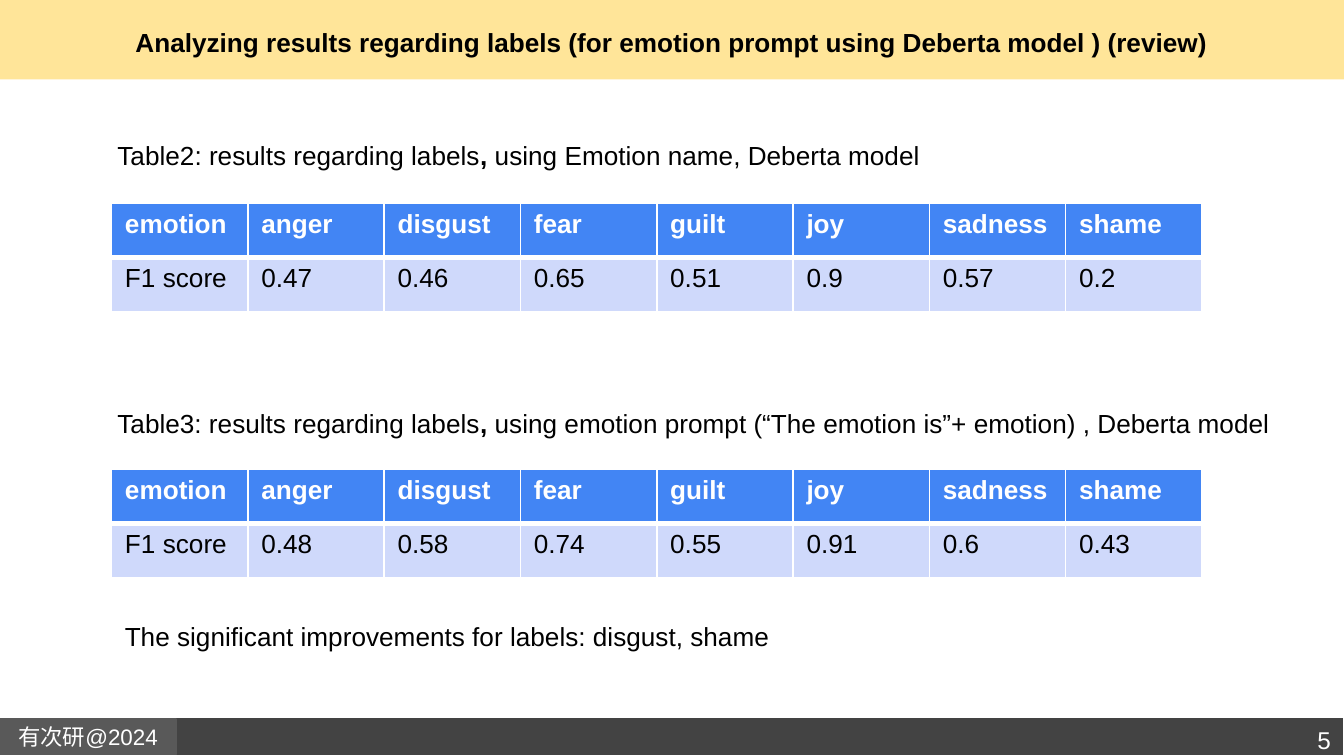
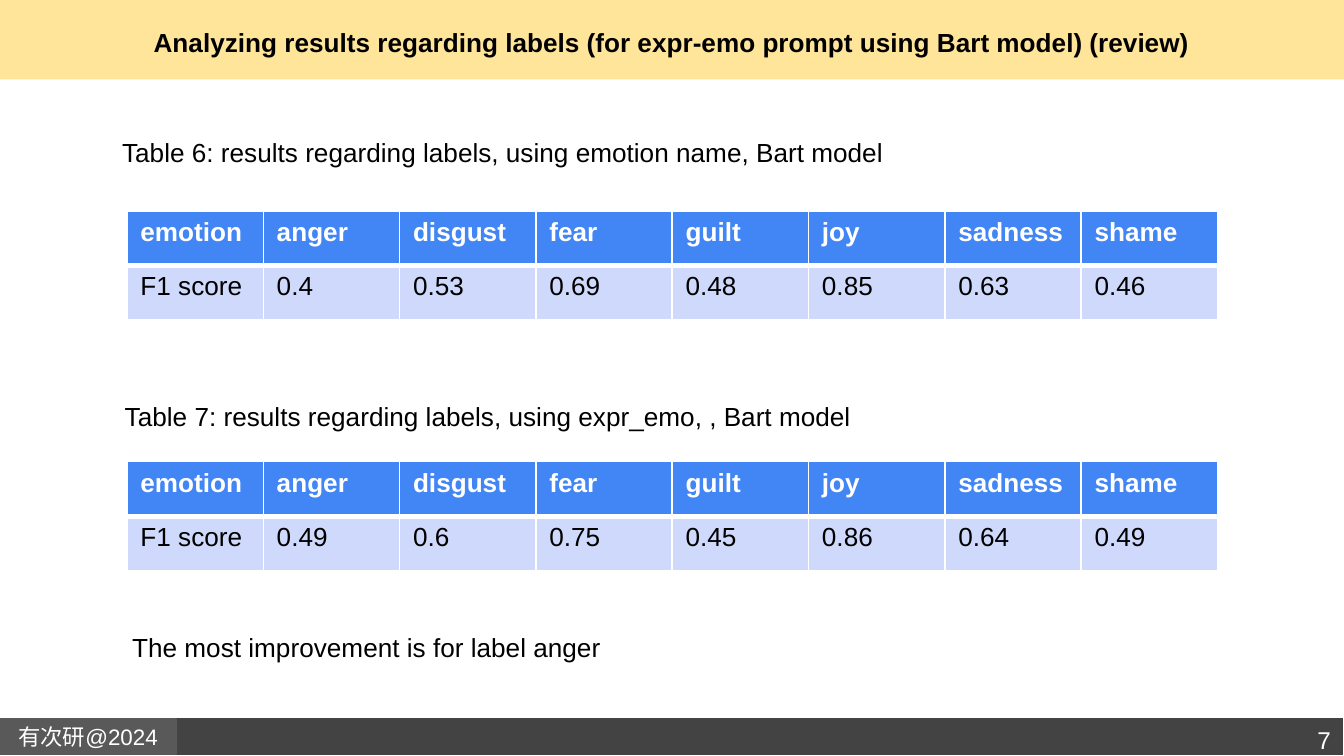
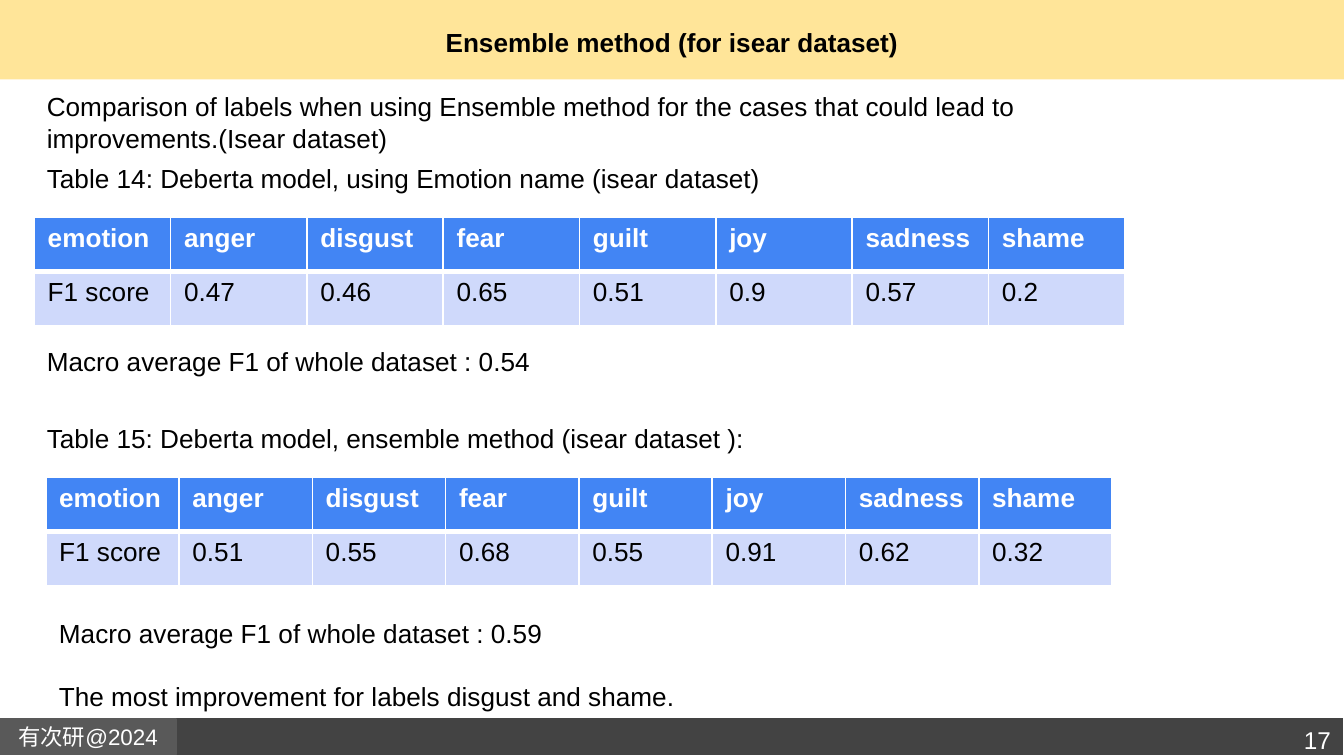
from typing import NamedTuple

from lxml import etree
from pptx import Presentation
from pptx.dml.color import RGBColor
from pptx.enum.shapes import MSO_SHAPE
from pptx.enum.text import MSO_ANCHOR, MSO_AUTO_SIZE, PP_ALIGN
from pptx.oxml.ns import qn
from pptx.util import Emu, Pt

EMU_PER_PX = 4572  # 200 px to the inch
SLIDE_W, SLIDE_H = 2000, 1125
BLANK_LAYOUT = 6

RECTANGLE = MSO_SHAPE.RECTANGLE
LEFT, CENTER, RIGHT = PP_ALIGN.LEFT, PP_ALIGN.CENTER, PP_ALIGN.RIGHT
TOP, MIDDLE = MSO_ANCHOR.TOP, MSO_ANCHOR.MIDDLE
GROW, FIXED = MSO_AUTO_SIZE.SHAPE_TO_FIT_TEXT, MSO_AUTO_SIZE.NONE

FONT = "Arial"
BODY_SIZE = 14
BLACK, WHITE = "000000", "FFFFFF"
TITLE_BAND, FOOTER_BAND, FOOTER_TAG = "FFE599", "434343", "595959"
HEADER_FILL, SCORE_FILL = "4285F4", "CFD9FB"
THIN, THICK = 1, 3

FOOTER = "有次研@2024"
EMOTIONS = ("anger", "disgust", "fear", "guilt", "joy", "sadness", "shame")
TABLE_W, ROW_H = 1623, 81
LINE_H = 68


class Box(NamedTuple):
    left: int
    top: int
    width: int
    height: int


class Note(NamedTuple):
    """Body text; parts between ** are bold, each line is a paragraph."""
    box: Box
    text: str
    wrap: bool = True


class ScoreTable(NamedTuple):
    left: int
    top: int
    scores: tuple[str, ...]
    width: int = TABLE_W


class ResultSlide(NamedTuple):
    number: int
    title: str
    notes: tuple[Note, ...]
    tables: tuple[ScoreTable, ...]


DEBERTA_NAME_SCORES = ("0.47", "0.46", "0.65", "0.51", "0.9", "0.57", "0.2")

SLIDES = (
    ResultSlide(
        5,
        "Analyzing results regarding labels (for emotion prompt using Deberta model ) (review)",
        (
            Note(Box(155, 197, 1310, 114),
                 "Table2: results regarding labels**, **using Emotion name, Deberta model"),
            Note(Box(155, 596, 1766, LINE_H),
                 "Table3: results regarding labels**, **using emotion prompt "
                 "(“The emotion is”+ emotion) , Deberta model", wrap=False),
            Note(Box(166, 914, 1298, LINE_H),
                 "The significant improvements for labels: disgust, shame"),
        ),
        (
            ScoreTable(166, 302, DEBERTA_NAME_SCORES),
            ScoreTable(166, 698, ("0.48", "0.58", "0.74", "0.55", "0.91", "0.6", "0.43")),
        ),
    ),
    ResultSlide(
        7,
        "Analyzing results regarding labels (for expr-emo prompt using Bart model) (review)",
        (
            Note(Box(162, 193, 1196, LINE_H),
                 "Table 6: results regarding labels, using emotion name, Bart model", wrap=False),
            Note(Box(166, 586, 1152, LINE_H),
                 "Table 7: results regarding labels, using expr_emo, , Bart model", wrap=False),
            Note(Box(177, 930, 740, LINE_H),
                 "The most improvement is for label anger", wrap=False),
        ),
        (
            ScoreTable(189, 314, ("0.4", "0.53", "0.69", "0.48", "0.85", "0.63", "0.46")),
            ScoreTable(189, 687, ("0.49", "0.6", "0.75", "0.45", "0.86", "0.64", "0.49")),
        ),
    ),
    ResultSlide(
        17,
        "Ensemble method (for isear dataset)",
        (
            Note(Box(50, 125, 1508, 114),
                 "Comparison of labels when using Ensemble method for the cases "
                 "that could lead to improvements.(Isear dataset)"),
            Note(Box(50, 232, 1204, LINE_H),
                 "Table 14: Deberta model, using Emotion name (isear dataset)"),
            Note(Box(50, 504, 1126, LINE_H), "Macro average F1 of whole dataset : 0.54"),
            Note(Box(50, 619, 1806, LINE_H),
                 "Table 15: Deberta model, ensemble method (isear dataset ):"),
            Note(Box(68, 909, 1186, 162),
                 "Macro average F1 of whole dataset : 0.59\n"
                 "The most improvement for labels disgust and shame."),
        ),
        (
            ScoreTable(51, 323, DEBERTA_NAME_SCORES),
            ScoreTable(68, 710, ("0.51", "0.55", "0.68", "0.55", "0.91", "0.62", "0.32"), 1587),
        ),
    ),
)


def px(length: int) -> Emu:
    return Emu(length * EMU_PER_PX)


def place(box: Box) -> tuple[Emu, ...]:
    return tuple(px(length) for length in box)


def rgb(color: str) -> RGBColor:
    return RGBColor.from_string(color)


def write(frame, text: str, *, size: int = BODY_SIZE, color: str = BLACK,
          bold: bool = False, align=LEFT, gap: int = 0) -> None:
    """Fill a text frame; ** switches bold, gap is points between paragraphs."""
    for index, line in enumerate(text.split("\n")):
        paragraph = frame.add_paragraph() if index else frame.paragraphs[0]
        paragraph.alignment = align
        if index:
            paragraph.space_before = Pt(gap)
        for part, words in enumerate(line.split("**")):
            run = paragraph.add_run()
            run.text = words
            run.font.name = FONT
            run.font.size = Pt(size)
            run.font.bold = bold or part % 2 == 1
            run.font.color.rgb = rgb(color)


def set_frame(frame, *, inset: int, anchor=TOP, wrap: bool = True, fit=FIXED) -> None:
    frame.word_wrap = wrap
    frame.auto_size = fit
    frame.vertical_anchor = anchor
    frame.margin_left = frame.margin_right = px(20)
    frame.margin_top = frame.margin_bottom = px(inset)


def add_band(slide, box: Box, fill: str, line: str | None = None):
    band = slide.shapes.add_shape(RECTANGLE, *place(box))
    band.shadow.inherit = False
    band.fill.solid()
    band.fill.fore_color.rgb = rgb(fill)
    if line:
        band.line.color.rgb = rgb(line)
        band.line.width = Pt(0.75)
    else:
        band.line.fill.background()
    return band


def add_frame_parts(slide, title: str, number: int) -> None:
    """Draw the title band, the footer and their text."""
    add_band(slide, Box(0, 0, SLIDE_W, 118), TITLE_BAND)
    add_band(slide, Box(0, 1068, SLIDE_W, 57), FOOTER_BAND, WHITE)
    tag = add_band(slide, Box(0, 1070, 262, 53), FOOTER_TAG, FOOTER_TAG).text_frame
    set_frame(tag, inset=20, anchor=MIDDLE)
    write(tag, FOOTER, size=12, color=WHITE, align=CENTER)

    heading = slide.shapes.add_textbox(*place(Box(68, 0, 1864, 126))).text_frame
    set_frame(heading, inset=20, anchor=MIDDLE)
    write(heading, title, bold=True, align=CENTER)

    page = slide.shapes.add_textbox(*place(Box(1790, 1060, 210, 74))).text_frame
    set_frame(page, inset=20)
    write(page, str(number), size=13, color=WHITE, align=RIGHT)


def add_note(slide, note: Note) -> None:
    frame = slide.shapes.add_textbox(*place(note.box)).text_frame
    set_frame(frame, inset=10, wrap=note.wrap, fit=GROW)
    write(frame, note.text, gap=17)


def set_borders(cell, **widths: int) -> None:
    """Give the sides L, R, T and B white lines of the given points."""
    properties = cell._tc.get_or_add_tcPr()
    for index, (side, width) in enumerate(widths.items()):
        line = etree.Element(qn(f"a:ln{side}"), w=str(Pt(width)))
        fill = etree.SubElement(line, qn("a:solidFill"))
        etree.SubElement(fill, qn("a:srgbClr"), val=WHITE)
        properties.insert(index, line)


def add_score_table(slide, table: ScoreTable) -> None:
    rows = (("emotion", *EMOTIONS), ("F1 score", *table.scores))
    columns = len(rows[0])
    box = Box(table.left, table.top, table.width, ROW_H * len(rows))
    grid = slide.shapes.add_table(len(rows), columns, *place(box)).table
    grid.horz_banding = False
    for column in grid.columns:
        column.width = px(table.width) // columns
    for row, values in enumerate(rows):
        grid.rows[row].height = px(ROW_H)
        header = row == 0
        for column, value in enumerate(values):
            cell = grid.cell(row, column)
            cell.fill.solid()
            cell.fill.fore_color.rgb = rgb(HEADER_FILL if header else SCORE_FILL)
            set_borders(cell, L=THIN, R=THIN, T=THIN if header else THICK,
                        B=THICK if header else THIN)
            write(cell.text_frame, value, color=WHITE if header else BLACK, bold=header)


def main() -> None:
    deck = Presentation()
    deck.slide_width, deck.slide_height = px(SLIDE_W), px(SLIDE_H)
    for content in SLIDES:
        slide = deck.slides.add_slide(deck.slide_layouts[BLANK_LAYOUT])
        add_frame_parts(slide, content.title, content.number)
        for note in content.notes:
            add_note(slide, note)
        for table in content.tables:
            add_score_table(slide, table)
    deck.save("out.pptx")


if __name__ == "__main__":
    main()
